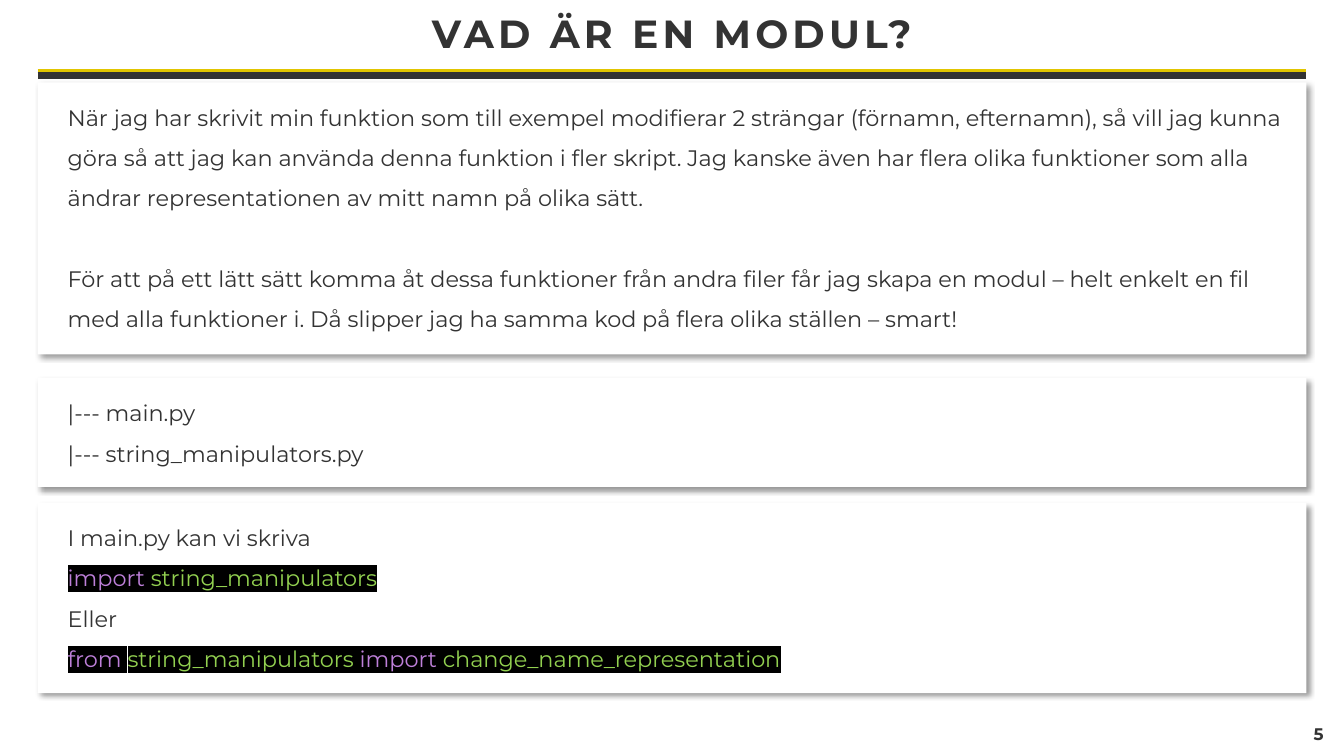
from lxml import etree
from pptx import Presentation, util as u
from pptx.dml.color import RGBColor
from pptx.enum import shapes, text
from pptx.oxml import parse_xml
from pptx.oxml.ns import nsdecls, qn

DARK = RGBColor(0x33, 0x33, 0x33)
YELLOW = RGBColor(0xE1, 0xC5, 0x00)
WHITE = RGBColor(0xFF, 0xFF, 0xFF)
PURPLE = RGBColor(0xBE, 0x80, 0xDA)
GREEN = RGBColor(0x92, 0xD0, 0x50)
FONT = "Montserrat"
LINE_PITCH = 29

SHADOW = f"""<a:effectLst {nsdecls('a')}>
<a:outerShdw blurRad="50800" dist="38100" dir="2700000" algn="tl" rotWithShape="0">
<a:srgbClr val="000000"><a:alpha val="40000"/></a:srgbClr></a:outerShdw></a:effectLst>"""
HIGHLIGHT = f'<a:highlight {nsdecls("a")}><a:srgbClr val="000000"/></a:highlight>'

prs = Presentation()
prs.slide_width, prs.slide_height = u.Inches(13.33), u.Inches(7.5)
s = prs.slides.add_slide(prs.slide_layouts[6])


def area(left, top, width, height):
    """Turn percentages of the slide's width and height into lengths."""
    w, h = prs.slide_width, prs.slide_height
    return [int(v * side / 100) for v, side in zip((left, top, width, height), (w, h, w, h))]


def add_run(p, words, size, color, bold=None):
    r = p.add_run()
    r.text = words
    r.font.name, r.font.size, r.font.bold = FONT, u.Pt(size), bold
    r.font.color.rgb = color
    return r


# Title and page number
for box, words, size, spacing in [
    ((0, 0, 100, 9.5), "VAD ÄR EN MODUL?", 28, 300),
    ((96.2, 94.5, 3.8, 5.2), "5", 12, 0),
]:
    tf = s.shapes.add_textbox(*area(*box)).text_frame
    tf.word_wrap = True
    tf.vertical_anchor = text.MSO_ANCHOR.MIDDLE
    p = tf.paragraphs[0]
    p.alignment = text.PP_ALIGN.CENTER
    p.line_spacing = 0.9 if spacing else 1.0
    r = add_run(p, words, size, DARK, True)
    r.font._element.set("spc", str(spacing))

# Double rule under the title
LEFT, WIDTH = 2.8, 94.4
for top, color in [(9.5, YELLOW), (10, DARK)]:
    x, y, w, _ = area(LEFT, top, WIDTH, 0)
    rule = s.shapes.add_connector(shapes.MSO_CONNECTOR.STRAIGHT, x, y, x + w, y)
    rule.line.color.rgb, rule.line.width = color, u.Pt(4.5)
    etree.SubElement(rule._element.spPr, qn("a:effectLst"))

# Cards: top, height, space between paragraphs, paragraphs of (words, colour) runs
cards = [
    (10.9, 36, LINE_PITCH, [
        [("När jag har skrivit min funktion som till exempel modifierar 2 strängar "
          "(förnamn, efternamn), så vill jag kunna göra så att jag kan använda denna "
          "funktion i fler skript. Jag kanske även har flera olika funktioner som alla "
          "ändrar representationen av mitt namn på olika sätt.", DARK)],
        [("För att på ett lätt sätt komma åt dessa funktioner från andra filer får jag "
          "skapa en modul – helt enkelt en fil med alla funktioner i. Då slipper jag ha "
          "samma kod på flera olika ställen – smart!", DARK)],
    ]),
    (50, 14.4, 0, [
        [("|--- main.py", DARK)],
        [("|--- string_manipulators.py", DARK)],
    ]),
    (66.5, 25.2, 0, [
        [("I main.py kan vi skriva", DARK)],
        [("import ", PURPLE), ("string_manipulators", GREEN)],
        [("Eller", DARK)],
        [("from ", PURPLE), ("string_manipulators ", GREEN),
         ("import ", PURPLE), ("change_name_representation", GREEN)],
    ]),
]
for top, height, gap, paragraphs in cards:
    sp = s.shapes.add_shape(shapes.MSO_SHAPE.RECTANGLE, *area(LEFT, top, WIDTH, height))
    sp.fill.solid()
    sp.fill.fore_color.rgb = WHITE
    sp.line.fill.background()
    sp._element.spPr.append(parse_xml(SHADOW))
    tf = sp.text_frame
    tf.word_wrap = True
    tf.auto_size = text.MSO_AUTO_SIZE.SHAPE_TO_FIT_TEXT
    tf.vertical_anchor = text.MSO_ANCHOR.TOP
    tf.margin_left = tf.margin_right = u.Inches(0.1)
    tf.margin_top, tf.margin_bottom = u.Inches(0.08), u.Inches(0.24)
    for i, runs in enumerate(paragraphs):
        p = tf.add_paragraph() if i else tf.paragraphs[0]
        p.alignment = text.PP_ALIGN.LEFT
        p.line_spacing = 1.5
        if i and gap:
            p.space_before = u.Pt(gap)
        pPr = p._p.get_or_add_pPr()
        pPr.set("marL", str(u.Inches(0.2)))
        pPr.set("indent", "0")
        for words, color in runs:
            r = add_run(p, words, 16, color)
            if color != DARK:
                r.font._element.find(qn("a:solidFill")).addnext(parse_xml(HIGHLIGHT))

prs.save("out.pptx")
